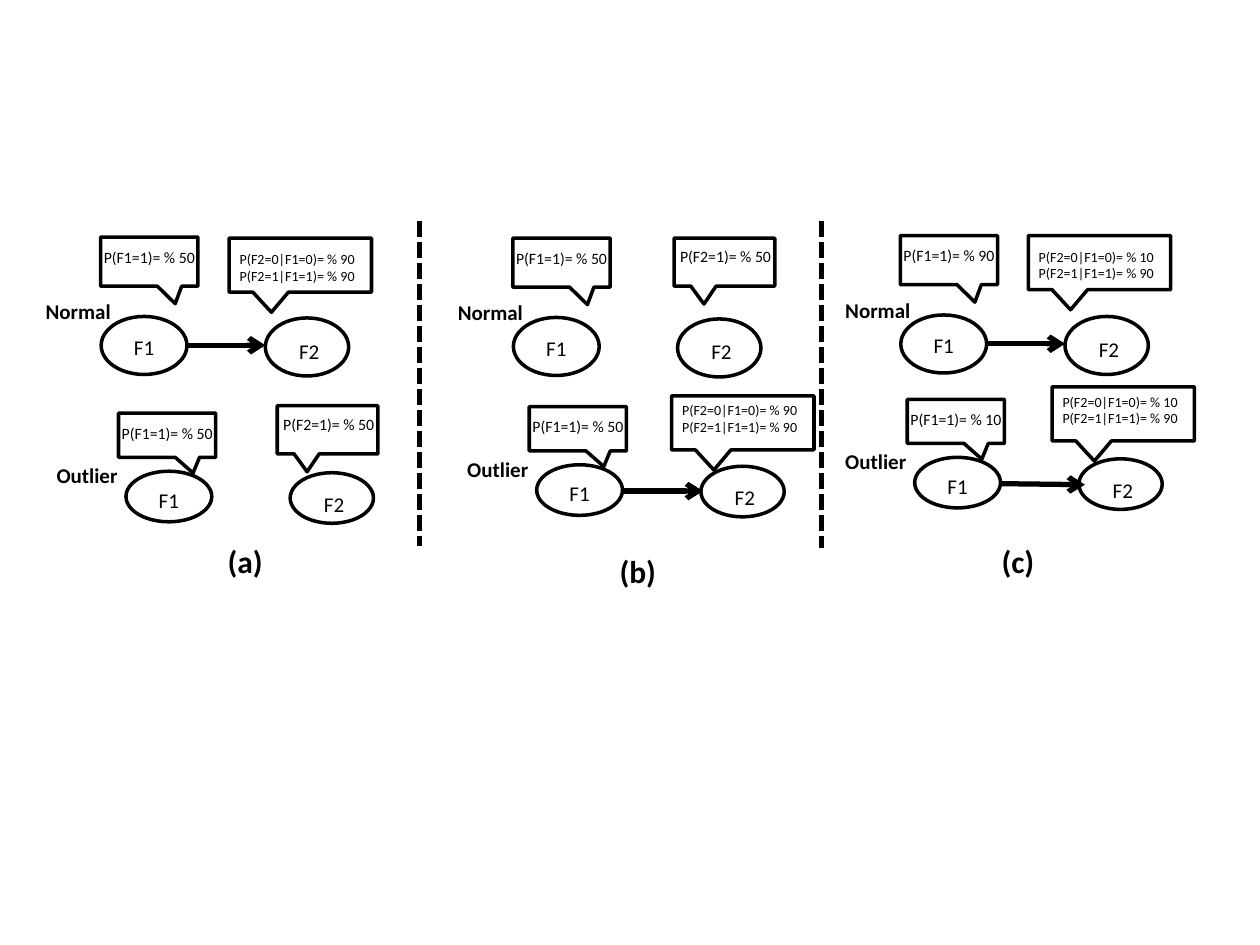
from dataclasses import dataclass

from pptx import Presentation
from pptx.dml.color import RGBColor
from pptx.enum.dml import MSO_LINE
from pptx.enum.shapes import MSO_CONNECTOR as CONN, MSO_SHAPE as SHAPE
from pptx.enum.text import PP_ALIGN as ALIGN
from pptx.oxml.ns import qn
from pptx.util import Cm, Pt
from lxml.etree import SubElement

COLORS = {"ink": "000000"}
INK = RGBColor.from_string(COLORS["ink"])
FONT = "Calibri"


@dataclass
class Row:
    """Sizes and offsets (cm) from the top left of F1, shared by a row."""
    label: str
    label_at: tuple
    node_h: float
    node_text_h: float
    node_text_dy: float
    prior_at: tuple
    prior_h: float
    wide_text_dy: float
    arrow_dy: float


NORMAL = Row("Normal", (-1.37, -0.48), 1.17, 0.61, 0.23,
             (-0.01, -1.6), 0.99, 0.13, 0.58)
OUTLIER = Row("Outlier", (-1.65, -0.3), 1.02, 0.53, 0.2,
              (-0.15, -1.17), 0.89, 0, 0.53)

# Row, F1 position, F1 percent, F2 callout position,
# F2 percent given F1=0 (None: F2 is independent), arrow end offset
NETWORKS = [
    (NORMAL, (2.04, 6.38), 50, (4.62, 4.8), 90, (3.31, 0.58)),
    (OUTLIER, (2.54, 9.5), 50, (5.59, 8.18), None, None),
    (NORMAL, (10.35, 6.4), 50, (13.59, 4.8), None, None),
    (OUTLIER, (10.82, 9.37), 50, (13.54, 7.98), 90, (3.35, 0.53)),
    (NORMAL, (18.16, 6.35), 90, (20.73, 4.75), 10, (3.31, 0.58)),
    (OUTLIER, (18.44, 9.22), 10, (21.21, 7.8), 10, (3.43, 0.55)),
]
DIVIDERS = [(8.46, 11.0), (16.56, 11.05)]
CAPTIONS = [("(a)", 4.34, 10.8), ("(b)", 12.24, 11.0), ("(c)", 19.94, 10.8)]


def add_text(shapes, x, y, w, h, lines, size, bold=False, align=ALIGN.LEFT):
    tf = shapes.add_textbox(Cm(x), Cm(y), Cm(w), Cm(h)).text_frame
    tf.word_wrap = True
    if align == ALIGN.LEFT:
        tf.margin_right = 0
    for i, line in enumerate(lines):
        p = tf.add_paragraph() if i else tf.paragraphs[0]
        p.alignment = align
        r = p.add_run()
        r.text = line
        r.font.name, r.font.size, r.font.bold = FONT, Pt(size), bold
        r.font.color.rgb = INK


def add_outline(shapes, kind, x, y, w, h):
    sp = shapes.add_shape(kind, Cm(x), Cm(y), Cm(w), Cm(h))
    sp.shadow.inherit = False
    sp.fill.background()
    sp.line.color.rgb = INK
    sp.line.width = Pt(2)
    return sp


def add_callout(shapes, x, y, w, h, tip):
    sp = add_outline(shapes, SHAPE.RECTANGULAR_CALLOUT, x, y, w, h)
    sp.adjustments[0], sp.adjustments[1] = tip


def add_line(shapes, x1, y1, x2, y2):
    line = shapes.add_connector(CONN.STRAIGHT, Cm(x1), Cm(y1), Cm(x2), Cm(y2))
    line.line.color.rgb = INK
    line.line.width = Pt(3)
    SubElement(line._element.spPr, qn("a:effectLst"))
    return line


def add_arrow(shapes, x1, y1, x2, y2):
    arrow = add_line(shapes, x1, y1, x2, y2)
    SubElement(arrow.line._get_or_add_ln(), qn("a:tailEnd"), type="arrow")


def add_node(shapes, row, name, x, y, w, text_dx, text_dy):
    add_outline(shapes, SHAPE.OVAL, x, y, w, row.node_h)
    add_text(shapes, x + text_dx, y + text_dy, 1.35, row.node_text_h,
             [name], 12, align=ALIGN.CENTER)


def add_network(slide, row, origin, prior, f2_at, given, arrow_end):
    shapes = slide.shapes.add_group_shape().shapes
    x, y = origin

    # Nodes and their dependency
    add_node(shapes, row, "F1", x, y, 1.73, 0.19, row.node_text_dy)
    add_node(shapes, row, "F2", x + 3.31, y + 0.03, 1.68, 0.21,
             row.node_text_dy + 0.05)
    if arrow_end:
        add_arrow(shapes, x + 1.73, y + row.arrow_dy,
                  x + arrow_end[0], y + arrow_end[1])

    # Probability of F1
    px, py = x + row.prior_at[0], y + row.prior_at[1]
    add_callout(shapes, px, py, 1.96, row.prior_h, (0.267, 0.856))
    add_text(shapes, px - 0.25, py + 0.08, 2.46, 0.64,
             [f"P(F1=1)= % {prior}"], 9, align=ALIGN.CENTER)

    # Probability of F2
    fx, fy = f2_at
    w, h = (2.87, 1.09) if given else (2.03, 0.97)
    add_callout(shapes, fx, fy, w, h, (-0.203, 0.873))
    if given:
        add_text(shapes, fx - 0.04, fy + row.wide_text_dy, 2.95, 0.94,
                 [f"P(F2=0|F1=0)= % {given}", "P(F2=1|F1=1)= % 90"], 8)
    else:
        add_text(shapes, fx - 0.13, fy + 0.05, 2.51, 0.64,
                 ["P(F2=1)= % 50"], 9)

    # Row label
    add_text(shapes, x + row.label_at[0], y + row.label_at[1], 1.85, 0.7,
             [row.label], 12, bold=True)


def main():
    prs = Presentation()
    prs.slide_width, prs.slide_height = Cm(25.4), Cm(19.05)
    s = prs.slides.add_slide(prs.slide_layouts[6])

    for network in NETWORKS:
        add_network(s, *network)

    # Panel dividers and captions
    for x, bottom in DIVIDERS:
        add_line(s.shapes, x, 4.45, x, bottom).line.dash_style = MSO_LINE.SQUARE_DOT
    for caption, x, y in CAPTIONS:
        add_text(s.shapes, x, y, 1.5, 1.02, [caption], 18, bold=True)

    prs.save("out.pptx")


if __name__ == "__main__":
    main()
